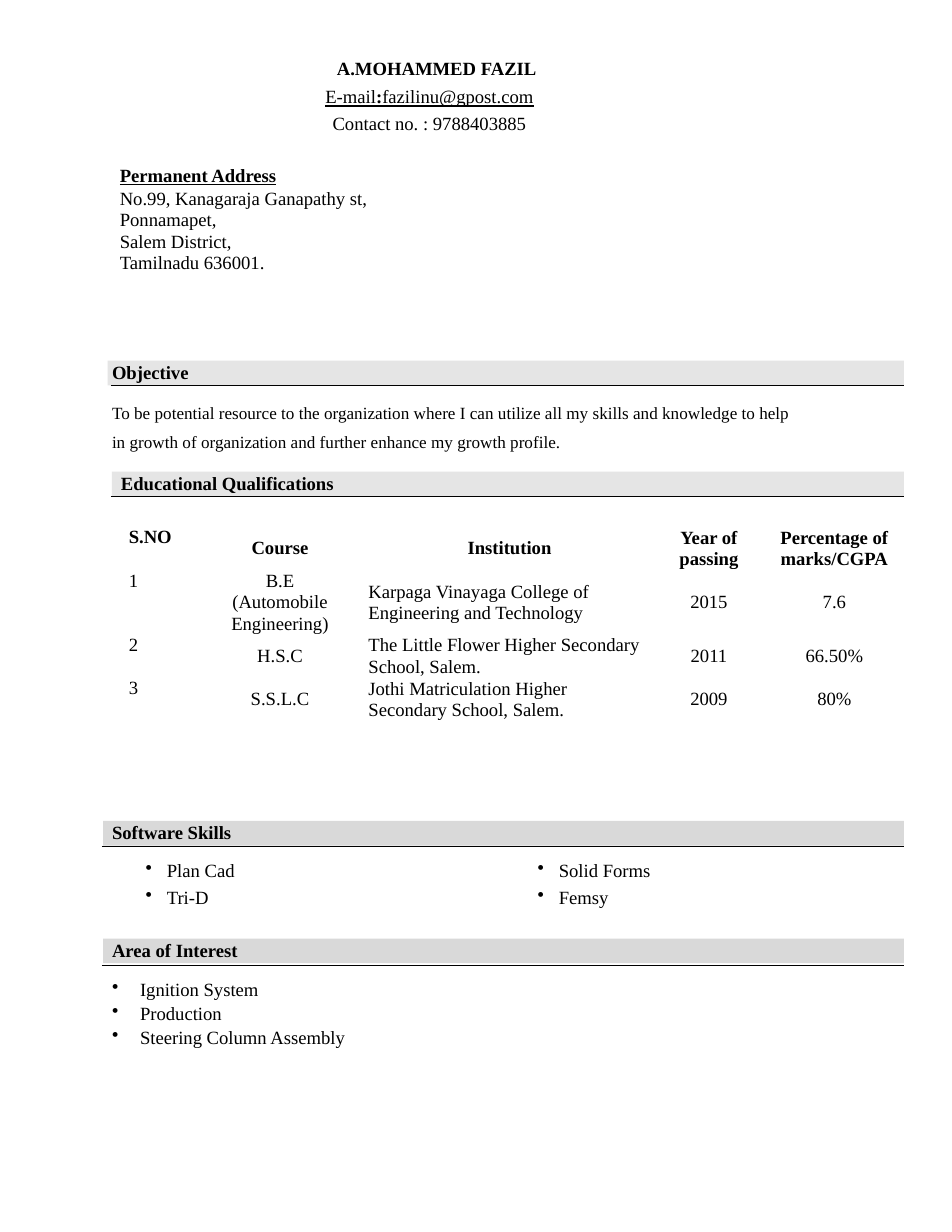
from dataclasses import dataclass

from lxml.etree import SubElement
from pptx import Presentation
from pptx.dml.color import RGBColor as Color
from pptx.enum.shapes import MSO_CONNECTOR as Connector, MSO_SHAPE as Preset
from pptx.enum.text import MSO_ANCHOR as Anchor, PP_ALIGN as Align
from pptx.oxml.ns import qn
from pptx.util import Inches, Pt


@dataclass(frozen=True)
class Theme:
    font: str = "Times New Roman"
    ink: str = "000000"
    light_bar: str = "E5E5E5"
    dark_bar: str = "D9D9D9"
    body: float = 12
    small: float = 11
    rule: float = 0.48
    line: float = 13.8


THEME = Theme()


def write(paragraph, text, size=THEME.body, bold=False, underline=False, align=Align.LEFT,
          before=0, spacing=None, indent=0, hanging=0, bullet=False):
    properties = paragraph._p.get_or_add_pPr()
    if bullet:
        SubElement(properties, qn("a:buChar"), char="•")
    properties.set("marL", str(Inches(indent)))
    properties.set("indent", str(Inches(-hanging)))
    paragraph.alignment = align
    paragraph.space_before = Pt(before)
    if spacing:
        paragraph.line_spacing = spacing
    run = paragraph.add_run()
    run.text = text
    font = run.font
    font.name, font.size, font.bold, font.underline = THEME.font, Pt(size), bold, underline
    font.color.rgb = Color.from_string(THEME.ink)


def next_paragraph(frame):
    first = frame.paragraphs[0]
    return first if not first.runs else frame.add_paragraph()


def set_margins(target, left=0, right=0):
    target.margin_left, target.margin_right = Inches(left), Inches(right)
    target.margin_top = target.margin_bottom = 0


class Resume:
    def __init__(self, slide, theme):
        self.slide = slide
        self.theme = theme

    def text_box(self, left, top, width, height):
        frame = self.slide.shapes.add_textbox(
            Inches(left), Inches(top), Inches(width), Inches(height)).text_frame
        frame.word_wrap = True
        set_margins(frame)
        return frame

    def section(self, title, left, top, fill, margin, rule_left, rule_top):
        right = 8.07
        bar = self.slide.shapes.add_shape(
            Preset.RECTANGLE, Inches(left), Inches(top), Inches(right - left), Inches(0.22))
        bar.shadow.inherit = False
        bar.fill.solid()
        bar.fill.fore_color.rgb = Color.from_string(fill)
        bar.line.fill.background()
        frame = bar.text_frame
        set_margins(frame, margin)
        frame.vertical_anchor = Anchor.TOP
        write(frame.paragraphs[0], title, bold=True)
        self.rule(rule_left, right, rule_top)

    def rule(self, left, right, top):
        line = self.slide.shapes.add_connector(
            Connector.STRAIGHT, Inches(left), Inches(top), Inches(right), Inches(top))
        line.line.color.rgb = Color.from_string(self.theme.ink)
        line.line.width = Pt(self.theme.rule)
        SubElement(line._element.spPr, qn("a:effectLst"))

    def bullets(self, items, left, top, width, height, indent, hanging, gap):
        frame = self.text_box(left, top, width, height)
        for index, item in enumerate(items):
            write(next_paragraph(frame), item, before=gap if index else 0,
                  indent=indent, hanging=hanging, bullet=True)

    def table(self, rows, left, top, widths, heights):
        table = self.slide.shapes.add_table(
            len(rows), len(widths), Inches(left), Inches(top),
            Inches(sum(widths)), Inches(sum(heights))).table
        table.first_row = table.horz_banding = False
        for column, width in zip(table.columns, widths):
            column.width = Inches(width)
        for row, height in zip(table.rows, heights):
            row.height = Inches(height)
        for row_index, row in enumerate(rows):
            for column_index, text in enumerate(row):
                self.table_cell(table.cell(row_index, column_index), text,
                                row_index == 0, column_index)

    def table_cell(self, cell, text, header, column_index):
        number, institution = column_index == 0, column_index == 2 and not header
        cell.fill.background()
        set_margins(cell, *((0.19, 0.22) if institution else (0, 0)))
        cell.vertical_anchor = Anchor.TOP if number else Anchor.MIDDLE
        for line in text.split("\n"):
            write(next_paragraph(cell.text_frame), line, bold=header,
                  align=Align.LEFT if number or institution else Align.CENTER,
                  spacing=Pt(self.theme.line))


EDUCATION = [
    ("S.NO", "Course", "Institution", "Year of passing", "Percentage of marks/CGPA"),
    ("1", "B.E\n(Automobile Engineering)",
     "Karpaga Vinayaga College of Engineering and Technology", "2015", "7.6"),
    ("2", "H.S.C", "The Little Flower Higher Secondary School, Salem.", "2011", "66.50%"),
    ("3", "S.S.L.C", "Jothi Matriculation Higher Secondary School, Salem.", "2009", "80%"),
]
ADDRESS = ["No.99, Kanagaraja Ganapathy st,", "Ponnamapet,", "Salem District,",
           "Tamilnadu 636001."]


def main():
    presentation = Presentation()
    presentation.slide_width, presentation.slide_height = Inches(8.5), Inches(11)
    resume = Resume(presentation.slides.add_slide(presentation.slide_layouts[6]), THEME)

    contact = resume.text_box(1.06, 0.51, 3.75, 1.92)
    write(next_paragraph(contact), "A.MOHAMMED FAZIL", bold=True, align=Align.CENTER, indent=1.93)
    contact_line = dict(align=Align.CENTER, indent=1.8, spacing=Pt(17.3))
    email = next_paragraph(contact)
    for text, bold in (("E-mail", False), (":", True), ("fazilinu@gpost.com", False)):
        write(email, text, bold=bold, underline=True, before=0.8, **contact_line)
    write(next_paragraph(contact), "Contact no. : 9788403885", **contact_line)
    write(next_paragraph(contact), "Permanent Address", bold=True, underline=True,
          before=19.4, spacing=Pt(14), indent=0.01)
    for index, line in enumerate(ADDRESS):
        write(next_paragraph(contact), line, before=0 if index else 0.6,
              spacing=Pt(THEME.line), indent=0.01)

    resume.section("Objective", 0.96, 3.22, THEME.light_bar, 0.04, 0.99, 3.44)
    objective = resume.text_box(1, 3.51, 6.15, 0.55)
    write(next_paragraph(objective),
          "To be potential resource to the organization where I can utilize all my skills and "
          "knowledge to help in growth of organization and further enhance my growth profile.",
          size=THEME.small, spacing=1.44)

    resume.section("Educational Qualifications", 1, 4.21, THEME.light_bar, 0.08, 0.99, 4.43)
    resume.table(EDUCATION, 1.15, 4.7, [0.75, 1.2, 2.9, 0.66, 1.58], [0.39, 0.57, 0.38, 0.39])

    resume.section("Software Skills", 0.92, 7.33, THEME.dark_bar, 0.08, 0.91, 7.56)
    for left, skills in ((1.28, ["Plan Cad", "Tri-D"]), (4.78, ["Solid Forms", "Femsy"])):
        resume.bullets(skills, left, 7.67, 1.06, 0.44, indent=0.21, hanging=0.19, gap=2.9)

    resume.section("Area of Interest", 0.92, 8.38, THEME.dark_bar, 0.08, 0.91, 8.62)
    resume.bullets(["Ignition System", "Production", "Steering Column Assembly"],
                   0.92, 8.73, 7.15, 0.6, indent=0.33, hanging=0.25, gap=1)

    presentation.save("out.pptx")


if __name__ == "__main__":
    main()
